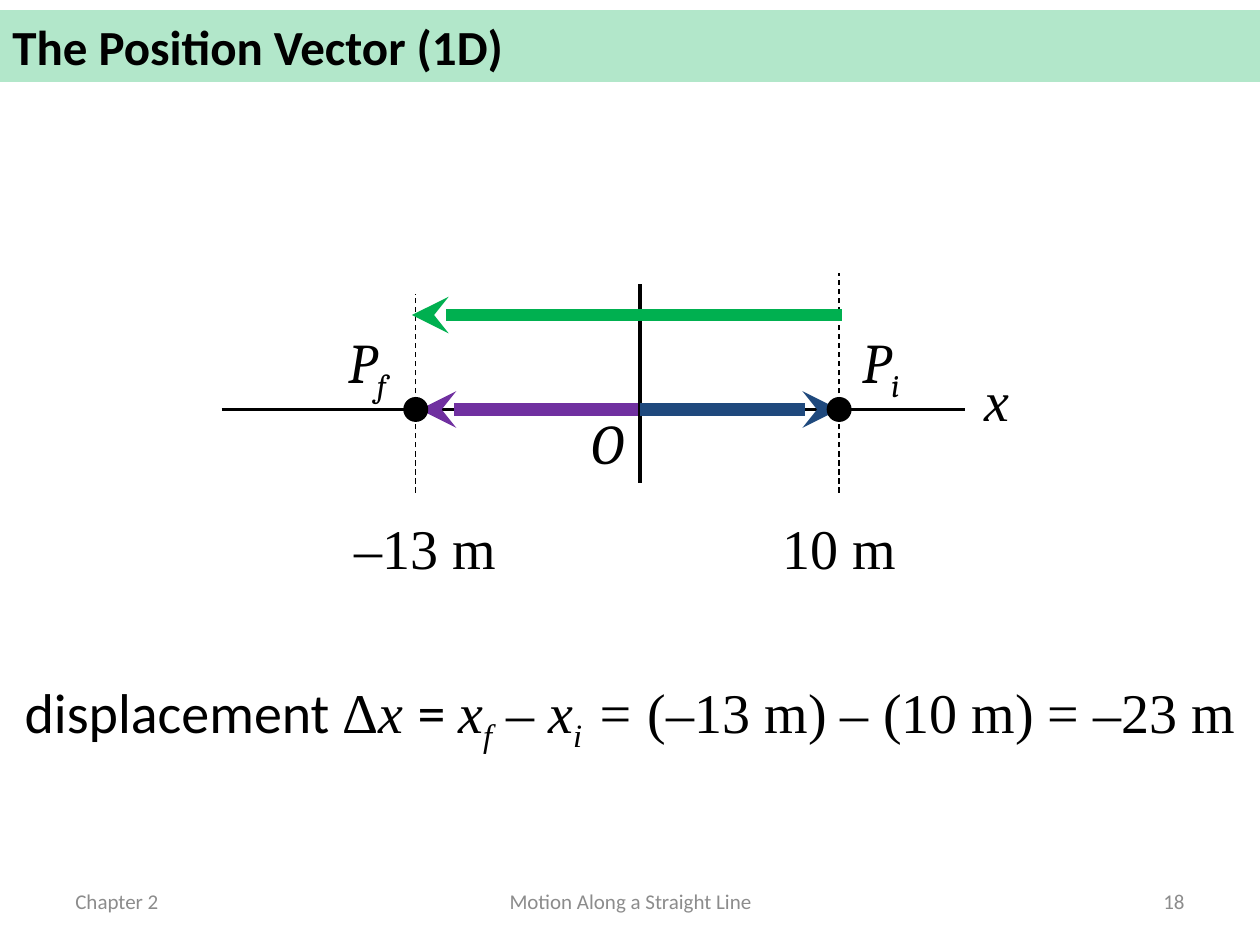
"""Builds a slide on the one-dimensional position vector."""
from pptx import Presentation
from pptx.dml.color import RGBColor
from pptx.enum.dml import MSO_LINE
from pptx.enum.shapes import MSO_CONNECTOR, MSO_SHAPE
from pptx.enum.text import MSO_ANCHOR, PP_ALIGN
from pptx.oxml.ns import qn
from pptx.util import Inches, Pt
from lxml.etree import SubElement

COLORS = {"black": "000000", "green": "00B050", "purple": "7030A0",
          "blue": "1F497D", "gray": "8C8C8C"}
SANS, SERIF, MATH = "Calibri", "Times New Roman", "Cambria"
AXIS, ZERO, START, END = 3.25, 5.08, 6.66, 3.3
DOT = 0.17

TITLE = [("The Position Vector (1D)", SANS, "b")]
FORMULA = [
    ("displacement ", SANS, ""), ("Δ", SERIF, ""), ("x ", SERIF, "i"),
    ("= ", SANS, ""), ("x", SERIF, "i"), ("f", SERIF, "is"),
    (" – x", SERIF, "i"), ("i", SERIF, "is"), (" = ", SERIF, "i"),
    ("(", SERIF, ""), ("–", SERIF, "i"), ("13 m) ", SERIF, ""),
    ("– ", SERIF, "i"), ("(10 m) =", SERIF, ""), (" –", SERIF, "i"),
    ("23 m", SERIF, ""),
]
LABELS = [
    (7.58, 2.85, 0.67, [("x", SERIF, "i")]),
    (4.49, 3.19, 0.67, [("O", MATH, "i")]),
    (6.66, 2.55, 0.67, [("P", MATH, "i"), ("i", MATH, "is")]),
    (2.58, 2.55, 0.67, [("P", MATH, "i"), ("f", MATH, "is")]),
    (6.08, 4.03, 1.17, [("10 m", SERIF, "")]),
    (2.29, 4.03, 2.17, [("–13 m", SERIF, "")]),
]
FOOTERS = [
    (0.5, 2.33, "Chapter 2", PP_ALIGN.LEFT),
    (3.42, 3.17, "Motion Along a Straight Line", PP_ALIGN.CENTER),
    (7.17, 2.33, "18", PP_ALIGN.RIGHT),
]
LINES = [
    ((1.76, AXIS), (7.66, AXIS), "black", 2, ""),
    ((ZERO, AXIS), (END + 0.03, AXIS), "purple", 7, "arrow"),
    ((END, 3.91), (END, 2.33), "black", 0.75, "dash"),
    ((ZERO, 3.83), (ZERO, 2.25), "black", 2, ""),
    ((ZERO, AXIS), (START, AXIS), "blue", 7, "arrow"),
    ((START, 3.91), (START, 2.17), "black", 0.75, "dash"),
    ((START + 0.02, 2.5), (END - 0.03, 2.5), "green", 7, "arrow"),
]


def paint(name):
    return RGBColor.from_string(COLORS[name])


def write(frame, runs, size, align, color="black"):
    para = frame.paragraphs[0]
    para.alignment = align
    for text, face, style in runs:
        run = para.add_run()
        run.text = text
        font = run.font
        font.name, font.size = face, Pt(size)
        font.bold, font.italic = "b" in style, "i" in style
        font.color.rgb = paint(color)
        if "s" in style:
            run._r.get_or_add_rPr().set("baseline", "-25000")


def add_text(slide, box, runs, size, align, color="black", wrap=True):
    frame = slide.shapes.add_textbox(*map(Inches, box)).text_frame
    frame.word_wrap = wrap
    write(frame, runs, size, align, color)
    return frame


def add_shape(slide, kind, box, color):
    shape = slide.shapes.add_shape(kind, *map(Inches, box))
    shape.shadow.inherit = False
    shape.fill.solid()
    shape.fill.fore_color.rgb = paint(color)
    return shape


def add_line(slide, start, end, color, width, style):
    line = slide.shapes.add_connector(
        MSO_CONNECTOR.STRAIGHT, *map(Inches, start + end))
    line.line.color.rgb = paint(color)
    line.line.width = Pt(width)
    if style == "dash":
        line.line.dash_style = MSO_LINE.DASH
    if style == "arrow":
        SubElement(line.line._get_or_add_ln(), qn("a:tailEnd"), type="stealth")
    SubElement(line._element.spPr, qn("a:effectLst"))


def main():
    deck = Presentation()
    deck.slide_width, deck.slide_height = Inches(10), Inches(7.5)
    slide = deck.slides.add_slide(deck.slide_layouts[6])

    band = add_shape(slide, MSO_SHAPE.RECTANGLE, (0, 0.08, 10, 0.57), "green")
    tint = band._element.spPr.find(".//" + qn("a:srgbClr"))
    SubElement(tint, qn("a:alpha"), val="30000")
    band.line.fill.background()
    band.text_frame.vertical_anchor = MSO_ANCHOR.TOP
    write(band.text_frame, TITLE, 28, PP_ALIGN.JUSTIFY)

    for line in LINES:
        add_line(slide, *line)
    for x in (START, END):
        box = (x - DOT / 2, AXIS - DOT / 2, DOT, DOT)
        dot = add_shape(slide, MSO_SHAPE.OVAL, box, "black")
        dot.line.color.rgb = paint("black")
        dot.line.width = Pt(2)

    for x, y, width, runs in LABELS:
        add_text(slide, (x, y, width, 0.64), runs, 32, PP_ALIGN.CENTER)
    add_text(slide, (0.04, 5.33, 9.92, 0.64), FORMULA, 32, PP_ALIGN.CENTER,
             wrap=False)
    for x, width, text, align in FOOTERS:
        frame = add_text(slide, (x, 6.95, width, 0.4), [(text, SANS, "")],
                         12, align, "gray")
        frame.vertical_anchor = MSO_ANCHOR.MIDDLE
    deck.save("out.pptx")


if __name__ == "__main__":
    main()
